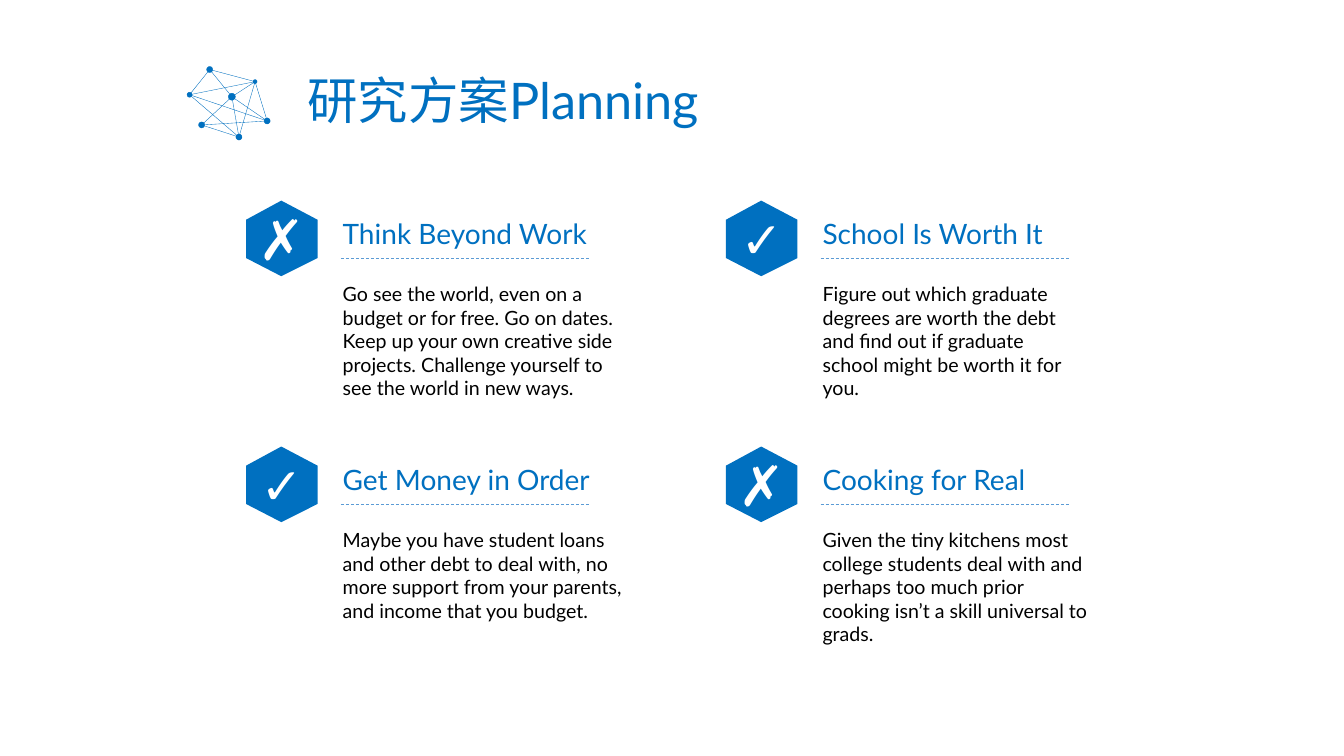
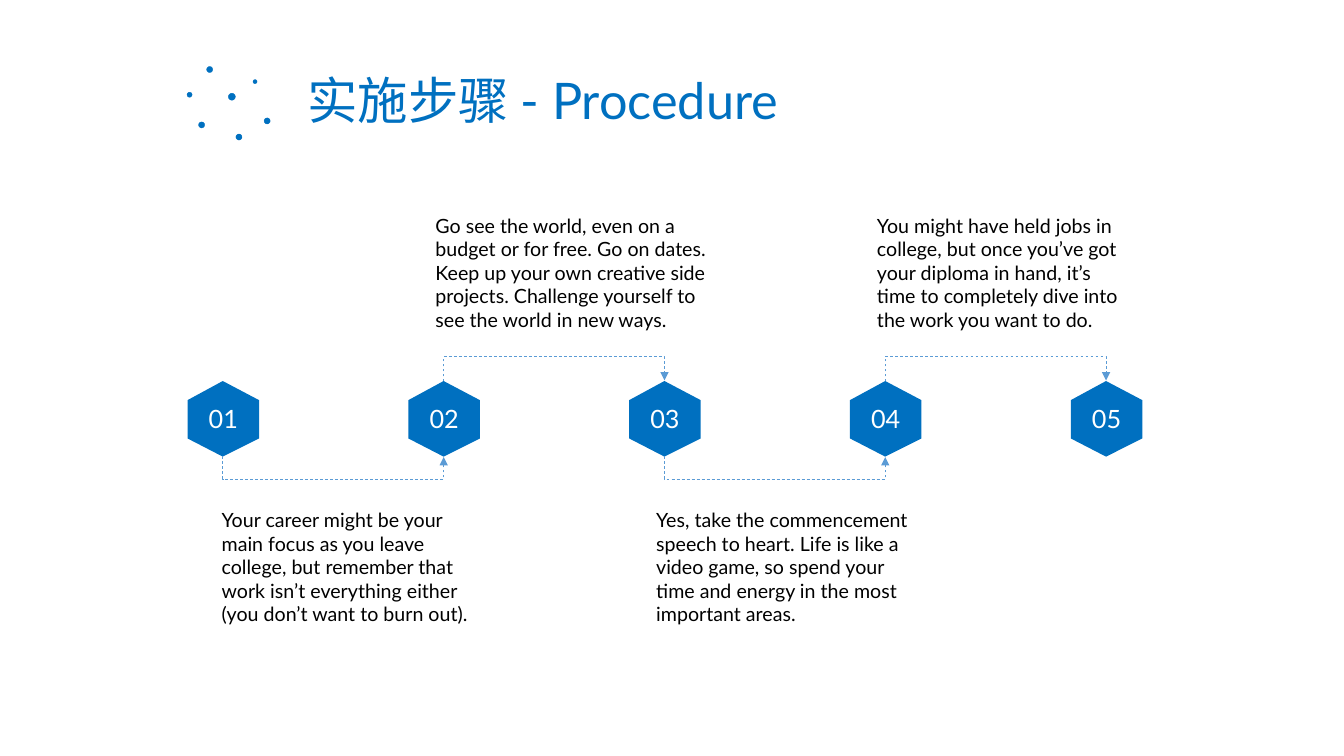
from itertools import product

from lxml.etree import SubElement
from pptx import Presentation
from pptx.dml.color import RGBColor
from pptx.enum.dml import MSO_LINE
from pptx.enum.shapes import MSO_CONNECTOR, MSO_SHAPE
from pptx.enum.text import MSO_ANCHOR, MSO_AUTO_SIZE, PP_ALIGN
from pptx.oxml.ns import qn
from pptx.util import Inches, Pt

BLUE = RGBColor(0x00, 0x70, 0xC0)
LIGHT_BLUE = RGBColor(0x5B, 0x9B, 0xD5)
BLACK = RGBColor(0, 0, 0)
WHITE = RGBColor(0xFF, 0xFF, 0xFF)
FONT = "Lato"

HEX_CENTER = 0.35
HEX_HEIGHT = 0.75
HEX_POINTS = [(0.35, 0.75), (0.71, 0.57), (0.71, 0.19), (0.35, 0), (0, 0.19), (0, 0.57)]

# Center x, center y and diameter of each dot in the network emblem
NODES = {
    "top": (2.08, 0.69, 0.06),
    "hub": (2.3, 0.96, 0.07),
    "upper right": (2.53, 0.81, 0.04),
    "left": (1.88, 0.94, 0.05),
    "lower left": (2.0, 1.24, 0.06),
    "bottom": (2.37, 1.36, 0.06),
    "right": (2.65, 1.2, 0.06),
}
LINKS = {
    "top": ["left", "upper right", "hub"],
    "hub": ["bottom", "right", "upper right", "lower left"],
    "left": ["bottom", "right", "upper right"],
    "upper right": ["bottom", "right"],
    "lower left": ["bottom", "right"],
}

TRAVEL = ("Go see the world, even on a budget or for free. Go on dates. Keep up your own "
          "creative side projects. Challenge yourself to see the world in new ways.")

# Mark, heading, text and text width, row by row
PLANS = [
    ("✗", "Think Beyond Work", TRAVEL, 2.98),
    ("✓", "School Is Worth It",
     "Figure out which graduate degrees are worth the debt and find out if graduate school "
     "might be worth it for you.", 2.71),
    ("✓", "Get Money in Order",
     "Maybe you have student loans and other debt to deal with, no more support from your "
     "parents, and income that you budget.", 2.98),
    ("✗", "Cooking for Real",
     "Given the tiny kitchens most college students deal with and perhaps too much prior "
     "cooking isn’t a skill universal to grads.", 2.86),
]
MARK_SIZES = {"✗": 40, "✓": 36}

# Text, left edge and width, below and above the steps in turn
STEP_NOTES = [
    ("Your career might be your main focus as you leave college, but remember that work isn’t "
     "everything either (you don’t want to burn out).", 2.1, 2.65),
    (TRAVEL, 4.22, 2.98),
    ("Yes, take the commencement speech to heart. Life is like a video game, so spend your "
     "time and energy in the most important areas.", 6.41, 2.73),
    ("You might have held jobs in college, but once you’ve got your diploma in hand, it’s time "
     "to completely dive into the work you want to do.", 8.6, 2.73),
]


class Deck:
    """Holds the presentation, its shared style and the current slide."""

    def __init__(self):
        self.presentation = Presentation()
        self.presentation.slide_width = Inches(13.33)
        self.presentation.slide_height = Inches(7.5)
        self.layout = self.presentation.slide_layouts[5]
        heading = self.layout.placeholders[0]
        heading.left, heading.top = Inches(2.95), Inches(0.59)
        heading.width, heading.height = Inches(7.93), Inches(0.86)
        self.slide = None

    def add_slide(self, title):
        self.slide = self.presentation.slides.add_slide(self.layout)
        frame = self.slide.shapes.title.text_frame
        frame.text = title
        frame.vertical_anchor = MSO_ANCHOR.MIDDLE
        frame.auto_size = MSO_AUTO_SIZE.NONE
        frame.paragraphs[0].line_spacing = 0.9
        self.format_text(frame, 36, BLUE)

    def format_text(self, frame, size, color, align=PP_ALIGN.LEFT):
        for paragraph in frame.paragraphs:
            paragraph.alignment = align
            for run in paragraph.runs:
                run.font.name = FONT
                run.font.size = Pt(size)
                run.font.color.rgb = color

    def emblem(self):
        """Draw the network emblem and move it to the layout, so every slide shows it."""
        group = self.slide.shapes.add_group_shape()
        for start, ends in LINKS.items():
            for end in ends:
                self.line(*NODES[start][:2], *NODES[end][:2], color=BLUE, width=0.25,
                          shapes=group.shapes)
        for x, y, size in NODES.values():
            dot = group.shapes.add_shape(MSO_SHAPE.OVAL, Inches(x - size / 2),
                                         Inches(y - size / 2), Inches(size), Inches(size))
            dot.shadow.inherit = False
            dot.fill.solid()
            dot.fill.fore_color.rgb = BLUE
            dot.line.color.rgb = BLUE
            dot.line.width = Pt(0.25)
        self.layout.shapes.element.append(group.element)

    def line(self, x1, y1, x2, y2, color=LIGHT_BLUE, width=0.5, dash=None,
             kind=MSO_CONNECTOR.STRAIGHT, shapes=None):
        shapes = shapes or self.slide.shapes
        connector = shapes.add_connector(kind, Inches(x1), Inches(y1), Inches(x2), Inches(y2))
        connector.line.color.rgb = color
        connector.line.width = Pt(width)
        if dash:
            connector.line.dash_style = dash
        SubElement(connector.element.spPr, qn("a:effectLst"))
        return connector

    def bracket_arrow(self, x1, x2, y, depth, below):
        """Draw a dashed U-shaped arrow from x1 to x2 that swings below or above y."""
        thin, span, middle = 0.01, x2 - x1, (x1 + x2) / 2
        # An upright elbow, turned a quarter: its bend lies far outside its thin frame
        arrow = self.line(middle - thin / 2, y - span / 2, middle + thin / 2, y + span / 2,
                          dash=MSO_LINE.DASH, kind=MSO_CONNECTOR.ELBOW)
        properties = arrow.element.spPr
        frame = properties.find(qn("a:xfrm"))
        frame.set("rot", str((270 if below else 90) * 60000))
        frame.set("flipH", "1")
        if not below:
            frame.set("flipV", "1")
        geometry = properties.find(qn("a:prstGeom"))
        adjustments = geometry.find(qn("a:avLst"))
        if adjustments is None:
            adjustments = SubElement(geometry, qn("a:avLst"))
        SubElement(adjustments, qn("a:gd"), name="adj1",
                   fmla=f"val {round(depth / thin * 100000)}")
        SubElement(properties.find(qn("a:ln")), qn("a:tailEnd"), type="triangle")

    def hexagon(self, left, top, label, size):
        points = [(Inches(left + x), Inches(top + y)) for x, y in HEX_POINTS]
        builder = self.slide.shapes.build_freeform(*points[0])
        builder.add_line_segments(points[1:], close=True)
        badge = builder.convert_to_shape()
        badge.shadow.inherit = False
        badge.fill.solid()
        badge.fill.fore_color.rgb = BLUE
        badge.line.fill.background()
        frame = badge.text_frame
        frame.text = label
        frame.word_wrap = False
        frame.vertical_anchor = MSO_ANCHOR.MIDDLE
        self.format_text(frame, size, WHITE, PP_ALIGN.CENTER)

    def text(self, left, top, width, height, words, size=14, color=BLACK):
        box = self.slide.shapes.add_textbox(Inches(left), Inches(top), Inches(width),
                                            Inches(height))
        frame = box.text_frame
        frame.word_wrap = True
        frame.auto_size = MSO_AUTO_SIZE.SHAPE_TO_FIT_TEXT
        frame.text = words
        self.format_text(frame, size, color)

    def plan(self, left, top, mark, heading, words, width):
        self.hexagon(left, top, mark, MARK_SIZES[mark])
        self.text(left + 0.86, top + 0.11, 2.71, 0.44, heading, 20, BLUE)
        self.line(left + 0.94, top + 0.57, left + 3.42, top + 0.57, dash=MSO_LINE.DASH)
        self.text(left + 0.86, top + 0.76, width, 1.28, words)


def build_planning(deck):
    deck.add_slide("研究方案Planning")
    deck.emblem()
    for (top, left), plan in zip(product((1.99, 4.43), (2.44, 7.2)), PLANS):
        deck.plan(left, top, *plan)


def build_procedure(deck):
    deck.add_slide("实施步骤 - Procedure")
    first, pitch, top = 1.86, 2.19, 3.78
    lefts = [first + pitch * step for step in range(5)]
    for number, left in enumerate(lefts, 1):
        deck.hexagon(left, top, f"{number:02}", 18)
    for step, (words, note_left, width) in enumerate(STEP_NOTES):
        below = step % 2 == 0
        start = lefts[step] + HEX_CENTER
        deck.bracket_arrow(start, start + pitch, top + HEX_HEIGHT if below else top,
                           0.23 if below else 0.25, below)
        deck.text(note_left, 4.99 if below else 2.07, width, 1.28, words)


def main():
    deck = Deck()
    build_planning(deck)
    build_procedure(deck)
    deck.presentation.save("out.pptx")


if __name__ == "__main__":
    main()
